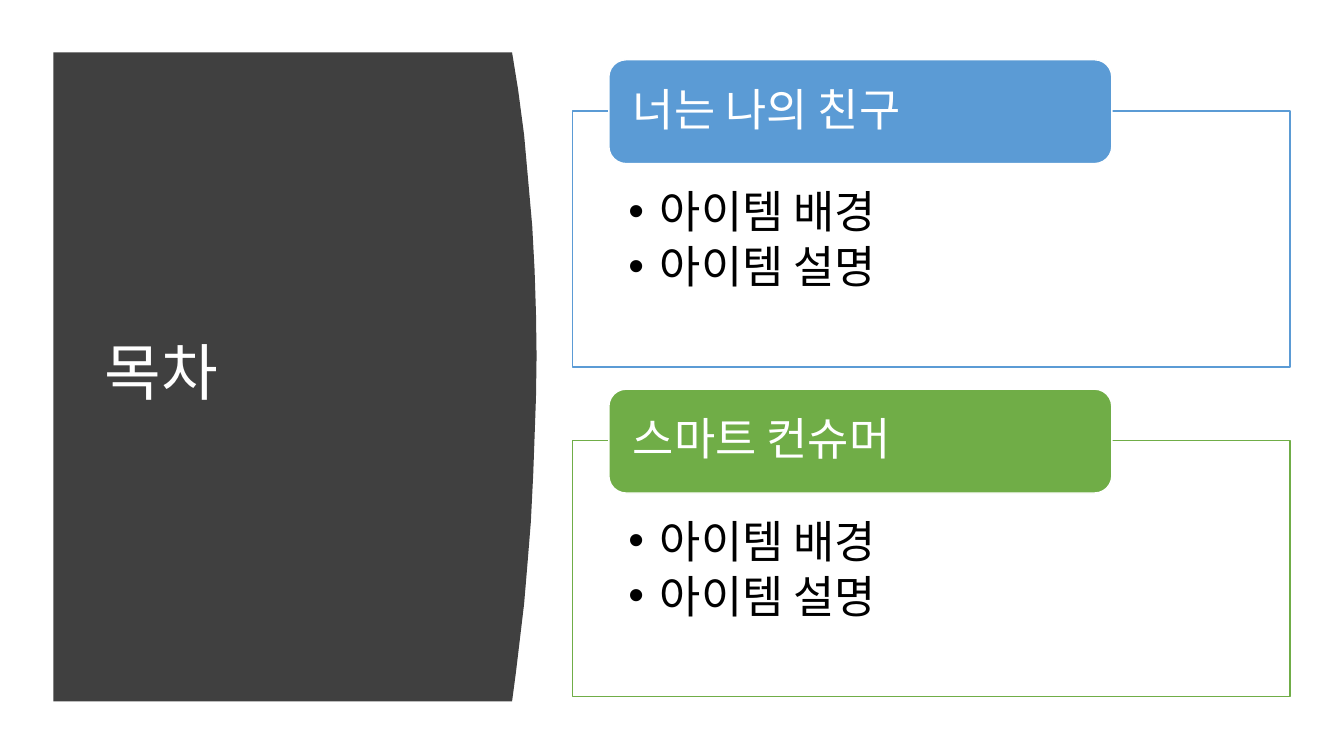
"""Build a contents slide with a dark title panel and two headed topic lists."""
from dataclasses import dataclass

import pptx
import pptx.dml.color
import pptx.enum.shapes
import pptx.enum.text
import pptx.oxml
import pptx.oxml.ns
import pptx.util
from pptx.util import Pt

FONT = "Noto Sans CJK KR"
WHITE = "FFFFFF"
PANEL_LEFT, PANEL_TOP, PANEL_BOTTOM = 38.2, 37.4, 501.1
CURVE = [
    (365.8, 37.4), (370.1, 64), (374.4, 96.5), (377.3, 128.9), (380.2, 161.3),
    (381.9, 193), (382.9, 224), (383.3, 254.2), (382.9, 283.7), (381.9, 311.8),
    (380.9, 339.1), (379.2, 373), (376.7, 404), (374.4, 431.3), (371.5, 455.8),
    (368.6, 480), (365.8, 501.1),
]
SECTION_TOP, SECTION_PITCH = 42.7, 235.3


@dataclass
class Section:
    """One heading with its colour and list of topics."""

    heading: str
    color: str
    topics: tuple[str, ...]


TOPICS = ("아이템 배경", "아이템 설명")
SECTIONS = [
    Section("너는 나의 친구", "5B9BD5", TOPICS),
    Section("스마트 컨슈머", "70AD47", TOPICS),
]


def rgb(color: str) -> pptx.dml.color.RGBColor:
    """Turn a hex string into a colour."""
    return pptx.dml.color.RGBColor.from_string(color)


def paint(shape, fill: str, line: str | None = None) -> None:
    """Set the solid fill and the outline of a shape."""
    shape.fill.solid()
    shape.fill.fore_color.rgb = rgb(fill)
    if line is None:
        shape.line.fill.background()
    else:
        shape.line.color.rgb = rgb(line)
        shape.line.width = Pt(1)


def place(shape, left: float, top: float, width: float, height: float) -> None:
    """Move and size a shape in points."""
    shape.left, shape.top = Pt(left), Pt(top)
    shape.width, shape.height = Pt(width), Pt(height)


def set_frame(shape, anchor, left: float, top: float, right: float, bottom: float) -> None:
    """Set wrapping, anchor and insets of a shape's text."""
    frame = shape.text_frame
    frame.word_wrap = True
    frame.auto_size = pptx.enum.text.MSO_AUTO_SIZE.NONE
    frame.vertical_anchor = anchor
    frame.margin_left, frame.margin_top = Pt(left), Pt(top)
    frame.margin_right, frame.margin_bottom = Pt(right), Pt(bottom)


def write(paragraph, text: str, size: float, color: str) -> None:
    """Add one left-aligned run to a paragraph."""
    paragraph.alignment = pptx.enum.text.PP_ALIGN.LEFT
    paragraph.line_spacing = 0.9
    paragraph.space_before = paragraph.space_after = Pt(0)
    run = paragraph.add_run()
    run.text = text
    run.font.name, run.font.size = FONT, Pt(size)
    run.font.color.rgb = rgb(color)
    east_asian = pptx.oxml.parse_xml(
        f'<a:ea {pptx.oxml.ns.nsdecls("a")} typeface="{FONT}"/>'
    )
    run.font._element.find(pptx.oxml.ns.qn("a:latin")).addnext(east_asian)


def add_bullet(paragraph) -> None:
    """Give a paragraph a round bullet with a hanging indent."""
    properties = paragraph._p.get_or_add_pPr()
    properties.set("marL", str(Pt(22.5)))
    properties.set("indent", str(Pt(-22.5)))
    namespace = pptx.oxml.ns.nsdecls("a")
    properties.append(pptx.oxml.parse_xml(f'<a:buFont {namespace} typeface="Arial"/>'))
    properties.append(pptx.oxml.parse_xml(f'<a:buChar {namespace} char="•"/>'))


def add_title_panel(slide) -> None:
    """Draw the curved panel behind the title and write the title."""
    builder = slide.shapes.build_freeform(Pt(PANEL_LEFT), Pt(PANEL_TOP))
    points = [*CURVE, (PANEL_LEFT, PANEL_BOTTOM)]
    builder.add_line_segments([(Pt(x), Pt(y)) for x, y in points], close=True)
    panel = builder.convert_to_shape()
    panel.shadow.inherit = False
    paint(panel, "404040")
    title = slide.shapes.title
    title._element.addprevious(panel._element)
    place(title, 67.7, 79.9, 269.3, 377.3)
    set_frame(title, pptx.enum.text.MSO_ANCHOR.MIDDLE, 7.2, 3.6, 7.2, 3.6)
    write(title.text_frame.paragraphs[0], "목차", 44, WHITE)


def add_section(slide, body, section: Section, top: float) -> None:
    """Format a body placeholder as a framed list and put a heading on its edge."""
    place(body, 409, top + 36.7, 512.6, 182.9)
    paint(body, WHITE, section.color)
    set_frame(body, pptx.enum.text.MSO_ANCHOR.TOP, 39.8, 51, 39.8, 18)
    for index, topic in enumerate(section.topics):
        frame = body.text_frame
        paragraph = frame.add_paragraph() if index else frame.paragraphs[0]
        write(paragraph, topic, 32, "000000")
        paragraph.line_spacing = Pt(39.3)
        add_bullet(paragraph)
    kind = pptx.enum.shapes.MSO_SHAPE.ROUNDED_RECTANGLE
    heading = slide.shapes.add_shape(kind, Pt(434.9), Pt(top), Pt(359.3), Pt(74.2))
    heading.shadow.inherit = False
    paint(heading, section.color, WHITE)
    set_frame(heading, pptx.enum.text.MSO_ANCHOR.MIDDLE, 13.6, 0, 13.6, 0)
    write(heading.text_frame.paragraphs[0], section.heading, 32, WHITE)


def main() -> None:
    """Create and save the presentation."""
    presentation = pptx.Presentation()
    presentation.slide_width, presentation.slide_height = Pt(960), Pt(540)
    slide = presentation.slides.add_slide(presentation.slide_layouts[3])
    for placeholder in list(slide.placeholders)[3:]:
        placeholder._element.getparent().remove(placeholder._element)
    add_title_panel(slide)
    bodies = list(slide.placeholders)[1:]
    for index, (body, section) in enumerate(zip(bodies, SECTIONS)):
        add_section(slide, body, section, SECTION_TOP + index * SECTION_PITCH)
    presentation.save("out.pptx")


main()
